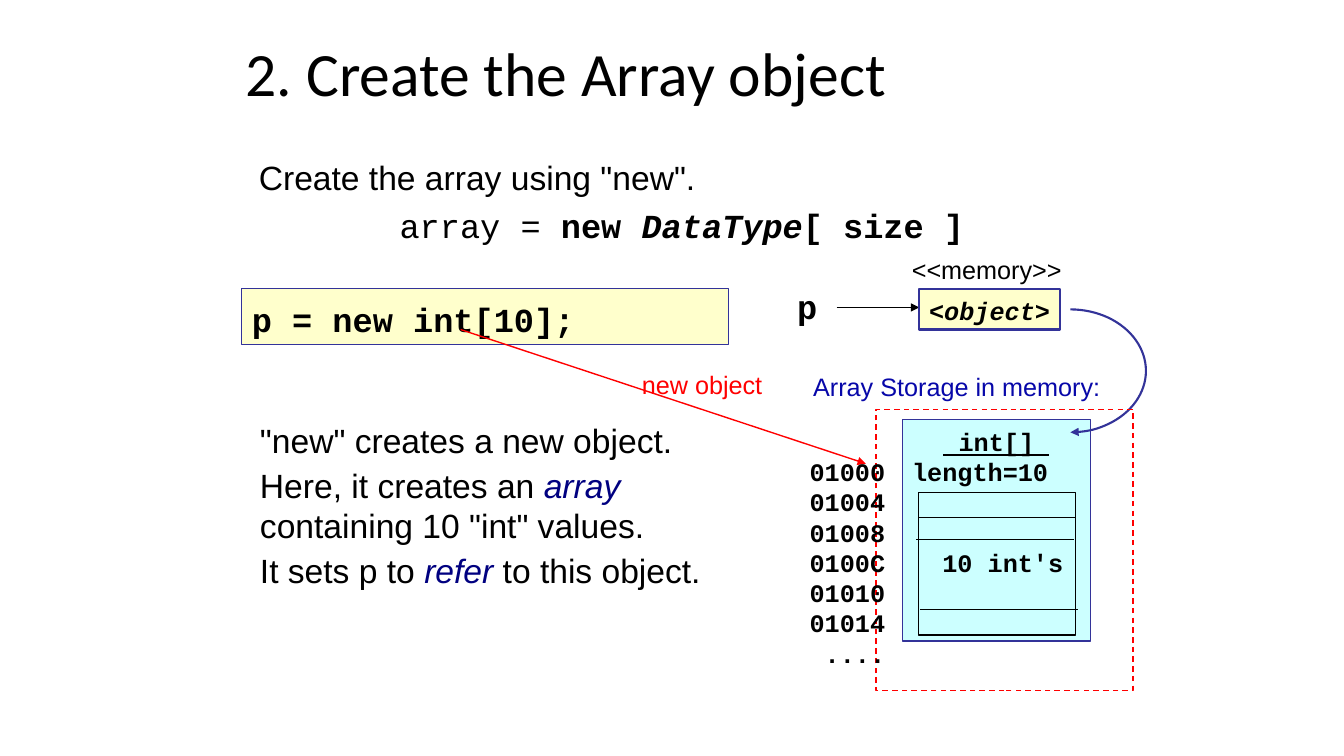
from lxml import etree
from pptx import Presentation
from pptx.dml.color import RGBColor
from pptx.enum.dml import MSO_LINE
from pptx.enum.shapes import MSO_CONNECTOR, MSO_SHAPE
from pptx.enum.text import MSO_ANCHOR, PP_ALIGN
from pptx.oxml.ns import qn
from pptx.util import Pt

RECT, ARC = MSO_SHAPE.RECTANGLE, MSO_SHAPE.ARC
LEFT, CENTER, RIGHT = PP_ALIGN.LEFT, PP_ALIGN.CENTER, PP_ALIGN.RIGHT
TOP, MIDDLE = MSO_ANCHOR.TOP, MSO_ANCHOR.MIDDLE
SANS, MONO, HEAD = "Arial", "Courier New", "Calibri"
COLORS = {"black": "000000", "red": "FF0000", "blue": "333399", "navy": "000080",
          "caption": "0707A9", "cream": "FFFFCC", "aqua": "CCFFFF"}

# A paragraph is a list of runs; a run is (text, styles, colour),
# styles being any of b, i and u.
TITLE = "2. Create the Array object"
INTRO = [("Create the array using \"new\".", "", "black")]
SYNTAX = [("array = ", "", "black"), ("new ", "b", "black"),
          ("DataType", "bi", "black"), ("[ size ]", "b", "black")]
NOTES = [
    [("\"new\" creates a new object.", "", "black")],
    [("Here, it creates an ", "", "black"), ("array ", "i", "navy"),
     ("containing 10 \"int\" values.", "", "black")],
    [("It sets p to ", "", "black"), ("refer", "i", "navy"),
     (" to this object.", "", "black")],
]
CODE = "p = new int[10];"
REFERENCE = [("<", "b", "black"), ("object", "bi", "black"), (">", "b", "black")]
ADDRESSES = ["01000", "01004", "01008", "0100C", "01010", "01014", "...."]
# text, left, top, width, height, colour, alignment
LABELS = [
    ("Array Storage in memory:", 573.8, 261.4, 237.6, 28.8, "caption", LEFT),
    ("<<memory>>", 623.5, 177.8, 162.7, 28.8, "black", CENTER),
    ("new object", 451.4, 259.9, 100.8, 29.5, "red", LEFT),
]
# left, top of each divider in the cell column
DIVIDERS = [(656.6, 369.4), (654.5, 385.2), (657.4, 435.6)]
DIVIDER_W = 112.3

prs = Presentation()
prs.slide_width, prs.slide_height = Pt(960), Pt(540)
s = prs.slides.add_slide(prs.slide_layouts[6])


def rgb(name):
    return RGBColor.from_string(COLORS[name])


def write(tf, paragraphs, font=SANS, size=18, color="black", styles="",
          align=LEFT, gap=0, top=3.6, anchor=TOP, wrap=True, leading=None):
    """Fill a frame; each paragraph is a string or a list of runs."""
    tf.word_wrap, tf.vertical_anchor = wrap, anchor
    tf.margin_left = tf.margin_right = Pt(7.2)
    tf.margin_top, tf.margin_bottom = Pt(top), Pt(3.6)
    for n, runs in enumerate(paragraphs):
        p = tf.paragraphs[0] if n == 0 else tf.add_paragraph()
        p.alignment = align
        p.line_spacing = leading or Pt(size * 1.2)
        if n and gap:
            p.space_before = Pt(gap)
        if isinstance(runs, str):
            runs = [(runs, styles, color)]
        for text, look, tint in runs:
            r = p.add_run()
            r.text = text
            r.font.name, r.font.size = font, Pt(size)
            r.font.bold, r.font.italic = "b" in look, "i" in look
            r.font.underline = "u" in look
            r.font.color.rgb = rgb(tint)
    return tf


def add_text(x, y, w, h, paragraphs, **fmt):
    sp = s.shapes.add_textbox(Pt(x), Pt(y), Pt(w), Pt(h))
    return write(sp.text_frame, paragraphs, **fmt)


def add_shape(kind, x, y, w, h, line, weight=0.75, fill=None):
    sp = s.shapes.add_shape(kind, Pt(x), Pt(y), Pt(w), Pt(h))
    sp.shadow.inherit = False
    if fill:
        sp.fill.solid()
        sp.fill.fore_color.rgb = rgb(fill)
    else:
        sp.fill.background()
    sp.line.color.rgb, sp.line.width = rgb(line), Pt(weight)
    return sp


def add_arrowhead(sp):
    etree.SubElement(sp.line._get_or_add_ln(), qn("a:tailEnd"), type="triangle")


def add_line(x1, y1, x2, y2, color="black", weight=0.75, arrow=False):
    c = s.shapes.add_connector(MSO_CONNECTOR.STRAIGHT, Pt(x1), Pt(y1), Pt(x2), Pt(y2))
    c.line.color.rgb, c.line.width = rgb(color), Pt(weight)
    if arrow:
        add_arrowhead(c)
    etree.SubElement(c._element.spPr, qn("a:effectLst"))


def indent(p, points):
    pPr = p._p.get_or_add_pPr()
    pPr.set("marL", str(Pt(points)))
    pPr.set("indent", "0")


# Title, syntax and explanation
add_text(168.5, 20.2, 623.5, 68.4, [TITLE], font=HEAD, size=44,
         anchor=MIDDLE, leading=0.9)
tf = add_text(177.8, 108.7, 604.1, 67.7, [INTRO, SYNTAX], size=24, gap=5)
syntax = tf.paragraphs[1]
syntax.alignment = CENTER
indent(syntax, 14.4)
for r in syntax.runs:
    r.font.name = MONO
add_text(178.6, 296.6, 378, 129.6, NOTES, size=24, gap=3)

# Statement and the variable it sets
code_box = add_shape(RECT, 172.8, 205.9, 347.8, 40.3, "blue", fill="cream")
write(code_box.text_frame, [CODE], font=MONO, size=24, styles="b", top=7.6)
add_text(562.3, 199.4, 28.8, 36, ["p"], font=MONO, size=24, styles="b",
         top=5, wrap=False)
add_line(597.6, 219.6, 656.6, 219.6, arrow=True)

# Array storage, the reference to it and its cells
storage = add_shape(RECT, 644.4, 299.5, 134.6, 158.4, "blue", fill="aqua")
tf = write(storage.text_frame,
           [[(" int[] ", "bu", "black")], "length=10", "10 int's"],
           font=MONO, styles="b", top=5)
tf.paragraphs[0].alignment = CENTER
tf.paragraphs[2].space_before = Pt(43.2)
indent(tf.paragraphs[2], 21.6)

pointer = add_shape(ARC, 710.6, 221, 108, 87.8, "blue", 1.5)
pointer.adjustments[1] = 54  # 90 degrees, in units of 100000/60000 degree
add_arrowhead(pointer)

frame = add_shape(RECT, 625.7, 292.3, 183.6, 200.9, "red", 1)
frame.line.dash_style = MSO_LINE.DASH
add_line(329, 235.4, 618.5, 331.2, "red", 1, arrow=True)

reference = add_shape(RECT, 656.6, 206.6, 100.8, 28.8, "blue", 1.5, "cream")
write(reference.text_frame, [REFERENCE], font=MONO, top=4.5, wrap=False)

add_shape(RECT, 655.9, 352.1, 112.3, 101.5, "black")
for x, y in DIVIDERS:
    add_line(x, y, x + DIVIDER_W, y)

for text, x, y, w, h, color, align in LABELS:
    add_text(x, y, w, h, [text], color=color, align=align)
add_text(557.3, 321.1, 82.1, 158.4, ADDRESSES, font=MONO, styles="b",
         align=RIGHT, top=5)

prs.save("out.pptx")
